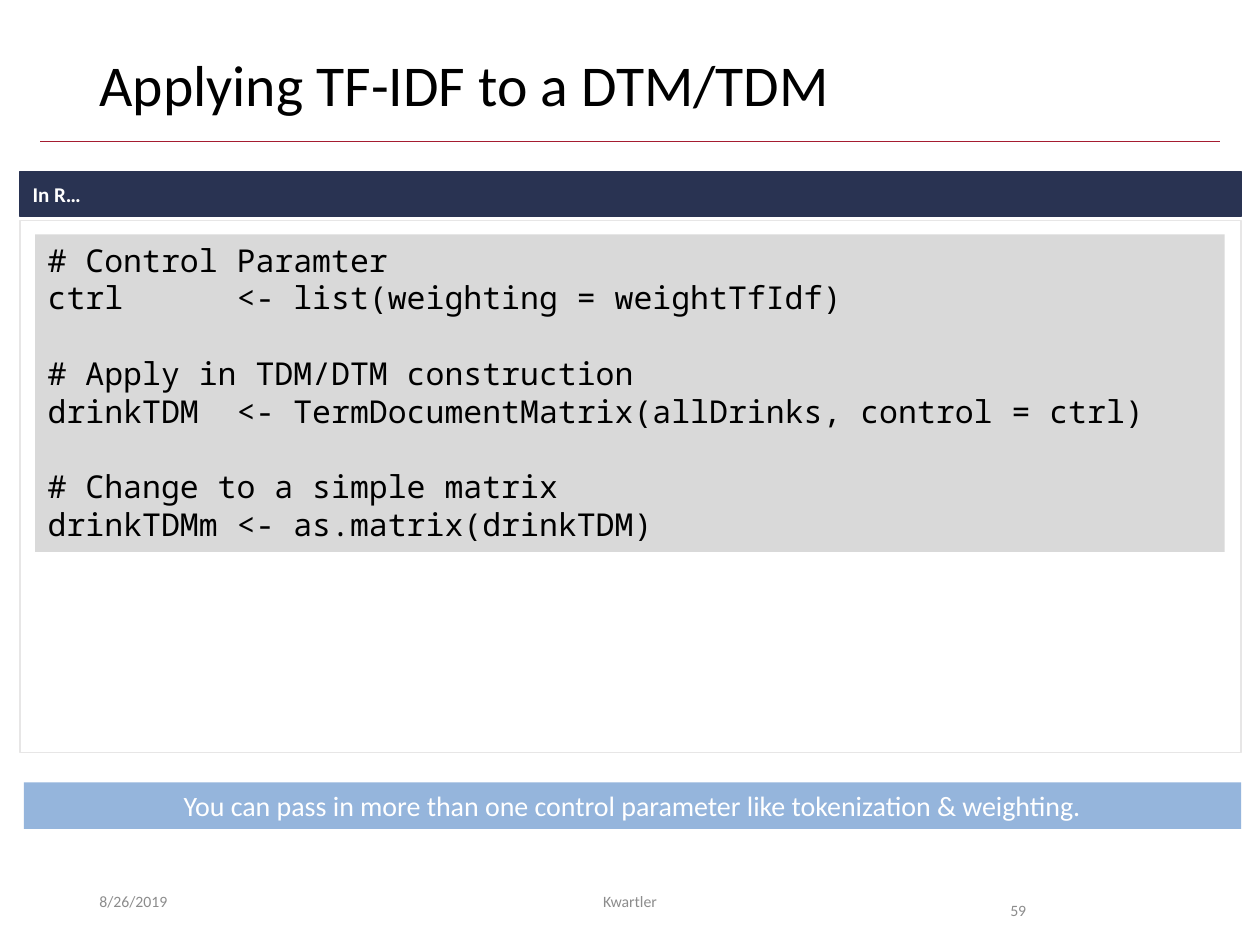
"""Build the slide on applying TF-IDF weighting in R."""
from dataclasses import dataclass

from lxml import etree
from pptx import Presentation
from pptx.dml.color import RGBColor
from pptx.enum.shapes import MSO_CONNECTOR, MSO_SHAPE
from pptx.enum.text import MSO_ANCHOR, PP_ALIGN
from pptx.oxml.ns import qn
from pptx.util import Inches, Pt

RECT = MSO_SHAPE.RECTANGLE
STRAIGHT = MSO_CONNECTOR.STRAIGHT
TOP, MIDDLE = MSO_ANCHOR.TOP, MSO_ANCHOR.MIDDLE
LEFT, CENTER = PP_ALIGN.LEFT, PP_ALIGN.CENTER

CODE_BLOCKS = [
    ["# Control Paramter", "ctrl      <- list(weighting = weightTfIdf)"],
    ["# Apply in TDM/DTM construction",
     "drinkTDM  <- TermDocumentMatrix(allDrinks, control = ctrl)"],
    ["# Change to a simple matrix", "drinkTDMm <- as.matrix(drinkTDM)"],
]
CODE_GAP = 21.6


@dataclass
class Box:
    """Position and size in inches."""
    left: float
    top: float
    width: float
    height: float

    def emu(self) -> tuple:
        """Return the four lengths for python-pptx."""
        return tuple(map(Inches, (self.left, self.top, self.width, self.height)))


@dataclass
class Footer:
    """A small grey text at the foot of the slide."""
    text: str
    box: Box
    align: PP_ALIGN = LEFT
    anchor: MSO_ANCHOR = MIDDLE
    spacing: float = 1.0


FOOTERS = [
    Footer("8/26/2019", Box(0.69, 6.95, 2.25, 0.4)),
    Footer("Kwartler", Box(3.31, 6.95, 3.38, 0.4), align=CENTER),
    Footer("59", Box(7.92, 6.95, 0.94, 0.4), anchor=TOP, spacing=2.0),
]


def rgb(value: str) -> RGBColor:
    """Convert a hex string to a colour."""
    return RGBColor.from_string(value)


def write(tf, text: str, *, size: float, color: str = "000000",
          font: str = "Calibri", bold: bool = False, align=LEFT,
          anchor=TOP, spacing: float = 1.0, before: float = 0) -> None:
    """Write a paragraph, filling the first one while it is empty."""
    tf.word_wrap = True
    tf.vertical_anchor = anchor
    p = tf.paragraphs[0] if not tf.text else tf.add_paragraph()
    p.alignment, p.line_spacing, p.space_before = align, spacing, Pt(before)
    r = p.add_run()
    r.text = text
    r.font.name, r.font.size, r.font.bold = font, Pt(size), bold
    r.font.color.rgb = rgb(color)


def add_rect(s, box: Box, fill: str, line: str | None = None):
    """Add a flat rectangle, outlined when a line colour is given."""
    sp = s.shapes.add_shape(RECT, *box.emu())
    sp.shadow.inherit = False
    sp.fill.solid()
    sp.fill.fore_color.rgb = rgb(fill)
    if line:
        sp.line.color.rgb = rgb(line)
        sp.line.width = Pt(0.75)
    else:
        sp.line.fill.background()
    return sp


def add_text(s, box: Box, text: str, **fmt) -> None:
    """Add a text box holding one paragraph."""
    write(s.shapes.add_textbox(*box.emu()).text_frame, text, **fmt)


def add_rule(s, left: float, right: float, y: float, color: str) -> None:
    """Add a thin horizontal line."""
    line = s.shapes.add_connector(
        STRAIGHT, Inches(left), Inches(y), Inches(right), Inches(y))
    line.line.color.rgb = rgb(color)
    line.line.width = Pt(0.5)
    etree.SubElement(line._element.spPr, qn("a:effectLst"))


def add_code(s, box: Box) -> None:
    """Add the code panel, with a gap between blocks."""
    tf = add_rect(s, box, "D9D9D9").text_frame
    for i, block in enumerate(CODE_BLOCKS):
        for j, text in enumerate(block):
            write(tf, text, size=18, font="Noto Sans Mono",
                  before=CODE_GAP if i and not j else 0)


def main() -> None:
    """Build and save the slide."""
    prs = Presentation()
    prs.slide_width, prs.slide_height = Inches(10), Inches(7.5)
    s = prs.slides.add_slide(prs.slide_layouts[6])

    add_rule(s, 0.32, 9.68, 1.12, "A51C30")
    add_text(s, Box(0.69, 0.4, 8.62, 0.65), "Applying TF-IDF to a DTM/TDM",
             size=33, spacing=0.9)
    for f in FOOTERS:
        add_text(s, f.box, f.text, size=9, color="8C8C8C", align=f.align,
                 anchor=f.anchor, spacing=f.spacing)

    add_rect(s, Box(0.16, 1.75, 9.69, 4.22), "FFFFFF", "E7E6E6")
    header = add_rect(s, Box(0.16, 1.36, 9.69, 0.36), "293352", "293352")
    tf = header.text_frame
    tf.margin_top = tf.margin_bottom = Inches(0.1)
    write(tf, "In R…", size=12, color="FFFFFF", bold=True, anchor=MIDDLE)
    add_code(s, Box(0.28, 1.86, 9.44, 2.52))
    note = add_rect(s, Box(0.19, 6.21, 9.66, 0.37), "95B5DC")
    write(note.text_frame,
          "You can pass in more than one control parameter like "
          "tokenization & weighting.",
          size=16, color="FFFFFF", align=CENTER)

    prs.save("out.pptx")


if __name__ == "__main__":
    main()
